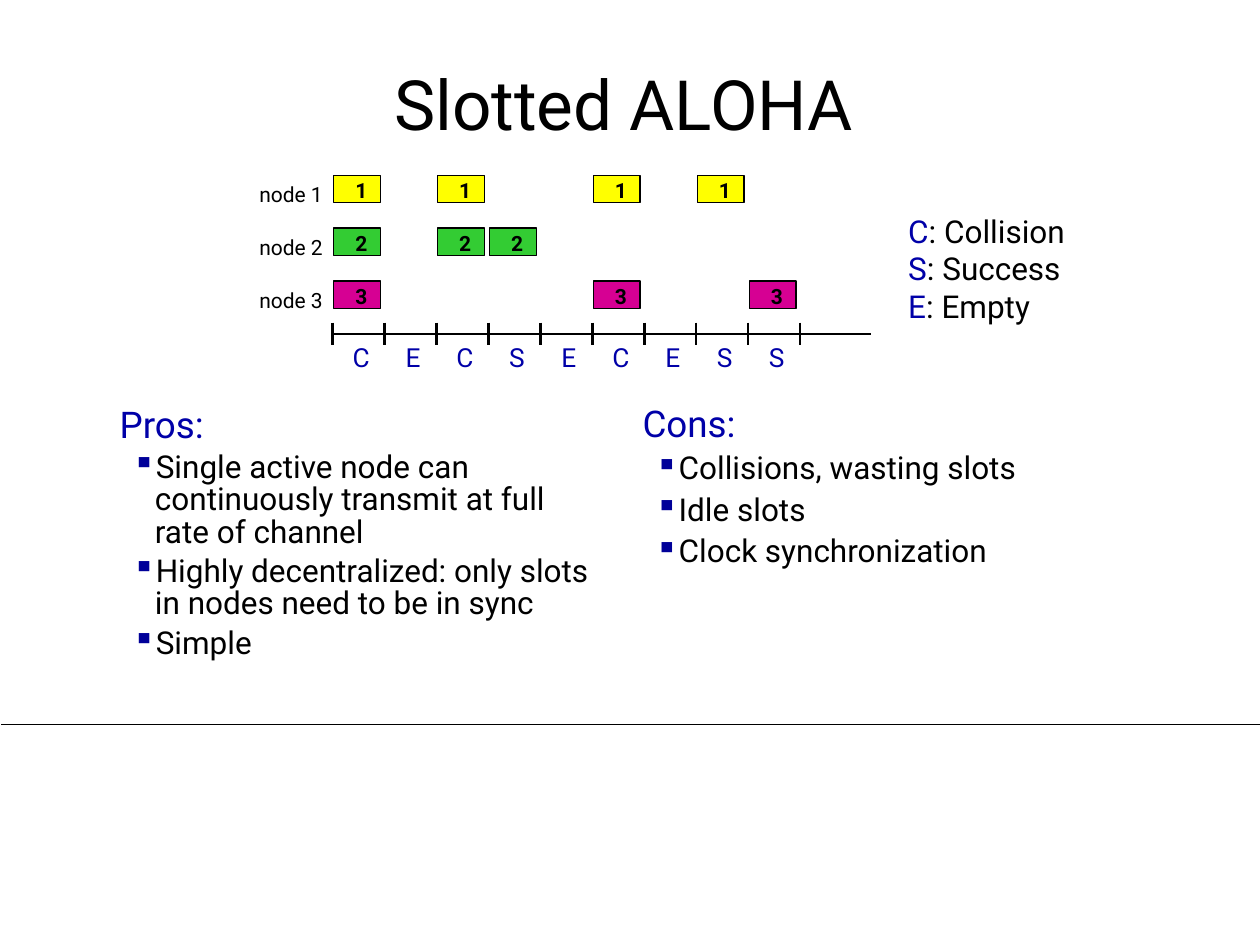
from lxml import etree
from pptx import Presentation
from pptx.dml.color import RGBColor
from pptx.enum.shapes import MSO_CONNECTOR as CONN, MSO_SHAPE as SHAPE
from pptx.enum.text import MSO_ANCHOR as ANCHOR, PP_ALIGN as ALIGN
from pptx.oxml.ns import qn
from pptx.util import Inches, Pt

BLACK = RGBColor(0x00, 0x00, 0x00)
BLUE = RGBColor(0x00, 0x00, 0xA8)
BULLET = RGBColor(0x00, 0x00, 0x99)
YELLOW = RGBColor(0xFF, 0xFF, 0x00)
GREEN = RGBColor(0x33, 0xCC, 0x33)
MAGENTA = RGBColor(0xD6, 0x00, 0x93)
FONT = "Roboto"

NODES = [("1", YELLOW, (0, 2, 5, 7)), ("2", GREEN, (0, 2, 3)), ("3", MAGENTA, (0, 5, 8))]
OUTCOMES = "CECSECESS"
LEGEND = [("C", ": Collision"), ("S", ": Success"), ("E", ": Empty")]
PROS = [
    "Single active node can continuously transmit at full rate of channel",
    "Highly decentralized: only slots in nodes need to be in sync",
    "Simple",
]
CONS = ["Collisions, wasting slots", "Idle slots", "Clock synchronization"]


def style(r, size, color=BLACK, bold=False):
    r.font.name = FONT
    r.font.size = Pt(size)
    r.font.color.rgb = color
    r.font.bold = bold


def add_line(slide, x1, y1, x2, y2, weight):
    ends = [Inches(v) for v in (x1, y1, x2, y2)]
    line = slide.shapes.add_connector(CONN.STRAIGHT, *ends)
    line.line.color.rgb = BLACK
    line.line.width = Pt(weight)
    etree.SubElement(line._element.spPr, qn("a:effectLst"))


def add_textbox(slide, x, y, w, h, wrap=False):
    tf = slide.shapes.add_textbox(Inches(x), Inches(y), Inches(w), Inches(h)).text_frame
    tf.word_wrap = wrap
    return tf


def add_label(slide, x, y, w, h, text, size, color=BLACK, align=ALIGN.LEFT):
    p = add_textbox(slide, x, y, w, h).paragraphs[0]
    p.text = text
    p.alignment = align
    style(p.runs[0], size, color)


def add_title(slide, x, y, w, h):
    sp = slide.shapes.title
    sp.left, sp.top, sp.width, sp.height = (Inches(v) for v in (x, y, w, h))
    tf = sp.text_frame
    tf.text = "Slotted ALOHA"
    tf.vertical_anchor = ANCHOR.MIDDLE
    p = tf.paragraphs[0]
    p.alignment = ALIGN.CENTER
    p.line_spacing = 0.9
    style(p.runs[0], 39.6)


def add_frame(slide, x, y, text, fill):
    sp = slide.shapes.add_shape(SHAPE.RECTANGLE, Inches(x), Inches(y), Inches(0.37), Inches(0.22))
    sp.shadow.inherit = False
    sp.fill.solid()
    sp.fill.fore_color.rgb = fill
    sp.line.color.rgb = BLACK
    sp.line.width = Pt(0.75)
    tf = sp.text_frame
    tf.text = text
    tf.vertical_anchor = ANCHOR.TOP
    tf.margin_left, tf.margin_top = Inches(0.17), Inches(0.02)
    tf.margin_right = tf.margin_bottom = 0
    p = tf.paragraphs[0]
    p.alignment = ALIGN.LEFT
    style(p.runs[0], 12, bold=True)


def add_timeline(slide, x, y, w, h):
    row = 0.42
    left = x + 0.68
    slot = 3.71 / len(OUTCOMES)
    axis = y + h - 0.36
    for i, (node, fill, slots) in enumerate(NODES):
        top = y + i * row
        add_label(slide, x, top, 0.73, 0.3, f"node {node}", 12)
        for k in slots:
            add_frame(slide, left + k * slot + 0.01, top, node, fill)
    add_line(slide, left, axis, x + w, axis, 0.75)
    for k in range(len(OUTCOMES) + 1):
        tick = left + k * slot
        add_line(slide, tick, axis - 0.09, tick, axis + 0.09, 1.5)
    for k, outcome in enumerate(OUTCOMES):
        add_label(slide, left + k * slot + 0.02, axis + 0.01, slot, 0.35,
                  outcome, 15, BLUE, ALIGN.CENTER)


def add_legend(slide, x, y, w, h):
    tf = add_textbox(slide, x, y, w, h)
    for i, (letter, meaning) in enumerate(LEGEND):
        p = tf.add_paragraph() if i else tf.paragraphs[0]
        for text, color in ((letter, BLUE), (meaning, BLACK)):
            r = p.add_run()
            r.text = text
            style(r, 18, color)


def set_indent(p, hanging, bullet=False):
    pPr = p._p.get_or_add_pPr()
    pPr.set("marL", str(Inches(0.28)))
    pPr.set("indent", str(-Inches(hanging)))
    if bullet:
        clr = etree.SubElement(pPr, qn("a:buClr"))
        etree.SubElement(clr, qn("a:srgbClr"), val=str(BULLET))
        etree.SubElement(pPr, qn("a:buChar"), char="▪")


def add_points(slide, x, y, w, h, heading, points, spacing):
    tf = add_textbox(slide, x, y, w, h, wrap=True)
    tf.margin_left = tf.margin_right = Inches(0.07)
    tf.margin_top = tf.margin_bottom = Inches(0.04)
    for i, text in enumerate([heading] + points):
        p = tf.add_paragraph() if i else tf.paragraphs[0]
        p.text = text
        p.line_spacing = spacing
        p.space_before = Pt(4.2)
        if i:
            set_indent(p, 0.18, bullet=True)
            style(p.runs[0], 18)
        else:
            set_indent(p, 0.28)
            style(p.runs[0], 21, BLUE)


def main():
    prs = Presentation()
    prs.slide_width, prs.slide_height = Inches(10), Inches(7.5)
    slide = prs.slides.add_slide(prs.slide_layouts[5])
    add_line(slide, 0.01, 5.75, 10, 5.75, 0.5)
    add_title(slide, 0.64, 0.49, 8.62, 0.73)
    add_points(slide, 0.88, 3.2, 3.98, 2.63, "Pros:", PROS, 0.85)
    add_points(slide, 5.03, 3.18, 4.58, 2.25, "Cons:", CONS, 0.9)
    add_timeline(slide, 1.96, 1.39, 4.95, 1.62)
    add_legend(slide, 7.11, 1.63, 1.49, 1.01)
    prs.save("out.pptx")


if __name__ == "__main__":
    main()
